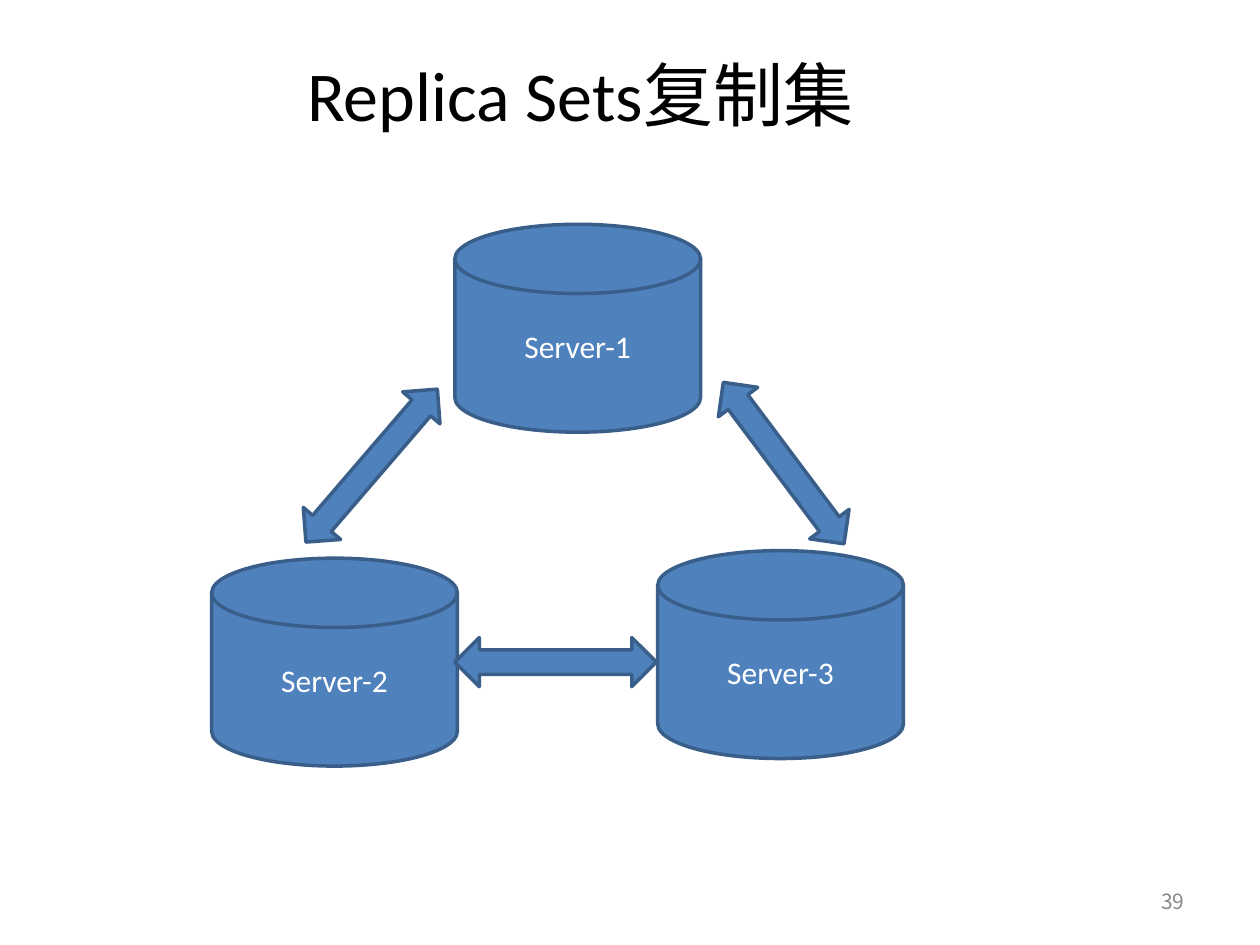
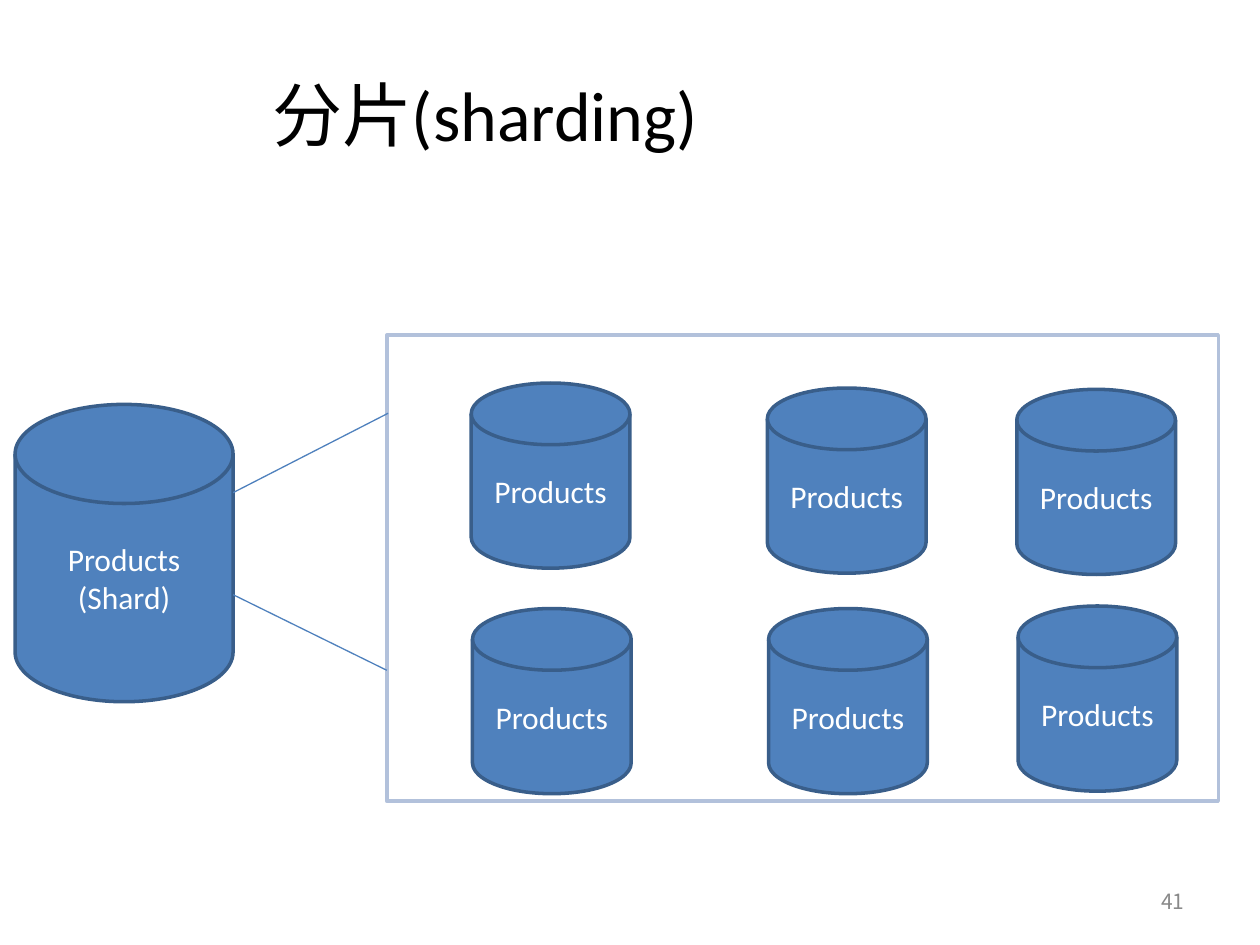
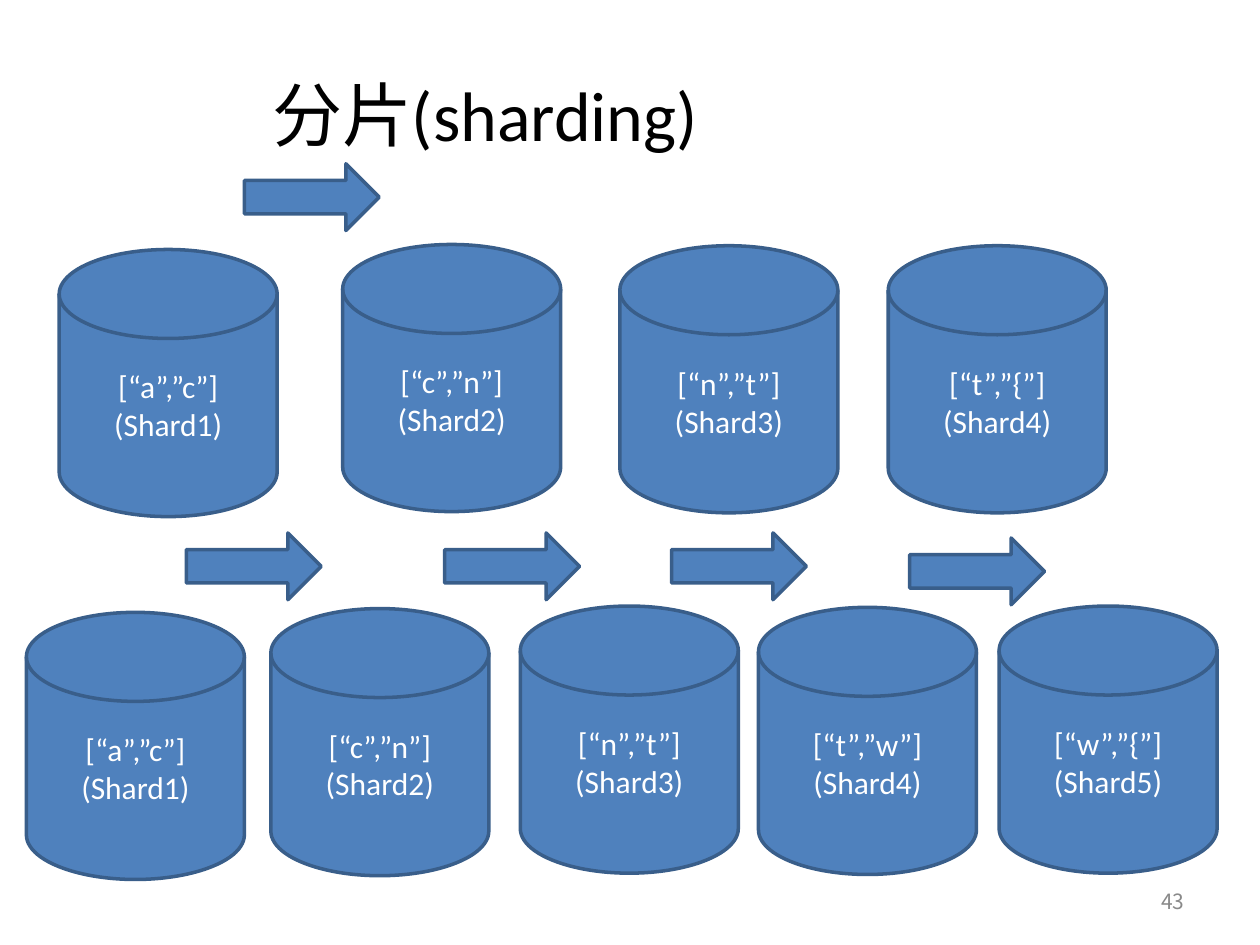
from dataclasses import dataclass
from itertools import pairwise

from lxml.etree import SubElement
from pptx import Presentation
from pptx.dml.color import RGBColor
from pptx.enum.shapes import MSO_CONNECTOR as Connector, MSO_SHAPE as Preset
from pptx.enum.text import MSO_ANCHOR as Anchor, MSO_AUTO_SIZE as AutoSize, PP_ALIGN as Align
from pptx.oxml.ns import qn
from pptx.util import Inches, Pt

# Shared look
BLUE, DARK_BLUE, PALE_BLUE = "4F81BD", "395E8A", "B2C1DB"
WHITE, BLACK, GRAY = "FFFFFF", "000000", "898989"
LATIN, CJK = "Calibri", "Noto Sans CJK SC"
FRAME_FORMAT = {
    "margin_left": Inches(0.1), "margin_right": Inches(0.1),
    "margin_top": Inches(0.05), "margin_bottom": Inches(0.05),
    "auto_size": AutoSize.NONE, "word_wrap": True,
}


@dataclass(frozen=True)
class Box:
    left: float
    top: float
    width: float
    height: float

    def lengths(self) -> list:
        return [Inches(v) for v in (self.left, self.top, self.width, self.height)]


@dataclass(frozen=True)
class Heading:
    text: str
    box: Box
    align: Align


@dataclass(frozen=True)
class Cylinder:
    box: Box
    label: str


@dataclass(frozen=True)
class Arrow:
    box: Box
    preset: Preset = Preset.RIGHT_ARROW
    rotation: float = 0


NUMBER_BOX = Box(7.17, 6.95, 2.33, 0.4)
REPLICA_HEADING = Heading("Replica Sets复制集", Box(1.85, 0.36, 5.51, 0.72), Align.CENTER)
SHARDING_HEADING = Heading("分片(sharding)", Box(2.06, 0.52, 5.72, 0.77), Align.LEFT)


def rgb(color: str) -> RGBColor:
    return RGBColor.from_string(color)


def write(shape, text: str, size: float, color: str, align: Align,
          anchor: Anchor = Anchor.MIDDLE, font: str = LATIN) -> None:
    frame = shape.text_frame
    frame.text = text
    for name, value in {**FRAME_FORMAT, "vertical_anchor": anchor}.items():
        setattr(frame, name, value)
    for paragraph in frame.paragraphs:
        paragraph.alignment = align
        for run in paragraph.runs:
            for name, value in {"size": Pt(size), "name": font}.items():
                setattr(run.font, name, value)
            run.font.color.rgb = rgb(color)
            SubElement(run.font._element, qn("a:ea"), typeface=CJK)


def draw_shape(slide, preset: Preset, box: Box, fill: str = BLUE, line: str = DARK_BLUE):
    shape = slide.shapes.add_shape(preset, *box.lengths())
    shape.shadow.inherit = False
    shape.fill.solid()
    shape.fill.fore_color.rgb = rgb(fill)
    shape.line.color.rgb = rgb(line)
    shape.line.width = Pt(2)
    return shape


def draw_cylinder(slide, cylinder: Cylinder) -> None:
    shape = draw_shape(slide, Preset.FLOWCHART_MAGNETIC_DISK, cylinder.box)
    write(shape, cylinder.label, 18, WHITE, Align.CENTER)


def draw_arrow(slide, arrow: Arrow) -> None:
    draw_shape(slide, arrow.preset, arrow.box).rotation = arrow.rotation


def draw_line(slide, start: tuple[float, float], end: tuple[float, float]) -> None:
    connector = slide.shapes.add_connector(
        Connector.STRAIGHT, *[Inches(v) for v in (*start, *end)])
    connector.line.color.rgb = rgb(BLUE)
    connector.line.width = Pt(0.75)
    SubElement(connector._element.spPr, qn("a:effectLst"))


def start_slide(deck, heading: Heading, number: int):
    slide = deck.slides.add_slide(deck.slide_layouts[5])
    title = slide.shapes.title
    title.left, title.top, title.width, title.height = heading.box.lengths()
    write(title, heading.text, 40, BLACK, heading.align, Anchor.TOP)
    page = slide.shapes.add_textbox(*NUMBER_BOX.lengths())
    write(page, str(number), 12, GRAY, Align.RIGHT, font=CJK)
    return slide


def shard_row(bounds: str, corners: list[tuple[float, float]]) -> list[Cylinder]:
    """One shard for each pair of neighbouring key bounds."""
    return [
        Cylinder(Box(left, top, 1.73, 2.12), f"[“{low}”,”{high}”]\n(Shard{index})")
        for index, ((low, high), (left, top)) in enumerate(zip(pairwise(bounds), corners), 1)
    ]


def build_replica_sets(deck) -> None:
    slide = start_slide(deck, REPLICA_HEADING, 39)
    servers = [(3.61, 1.78), (1.68, 4.43), (5.22, 4.37)]
    for index, (left, top) in enumerate(servers, 1):
        draw_cylinder(slide, Cylinder(Box(left, top, 1.95, 1.65), f"Server-{index}"))
    # Replication between each two servers
    for left, top, rotation in [(3.61, 5.06, 0), (2.15, 3.5, 310.7), (5.42, 3.48, 233.2)]:
        draw_arrow(slide, Arrow(Box(left, top, 1.6, 0.39), Preset.LEFT_RIGHT_ARROW, rotation))


def build_collection_split(deck) -> None:
    slide = start_slide(deck, SHARDING_HEADING, 41)
    draw_cylinder(slide, Cylinder(Box(0.12, 3.21, 1.73, 2.36), "Products\n(Shard)"))
    # Enlarged view of the collection
    draw_shape(slide, Preset.RECTANGLE, Box(3.07, 2.66, 6.6, 3.7), WHITE, PALE_BLUE)
    draw_line(slide, (1.85, 3.91), (3.08, 3.28))
    draw_line(slide, (1.85, 4.72), (3.07, 5.32))
    pieces = [(3.74, 3.04), (6.09, 3.08), (8.07, 3.09),
              (3.75, 4.83), (6.1, 4.83), (8.08, 4.81)]
    for left, top in pieces:
        draw_cylinder(slide, Cylinder(Box(left, top, 1.26, 1.47), "Products"))


def build_shard_ranges(deck) -> None:
    slide = start_slide(deck, SHARDING_HEADING, 43)
    four_shards = shard_row("acnt{", [(0.47, 1.98), (2.72, 1.94), (4.92, 1.95), (7.05, 1.95)])
    five_shards = shard_row("acntw{", [(0.21, 4.86), (2.15, 4.83), (4.13, 4.81),
                                       (6.02, 4.82), (7.93, 4.81)])
    for shard in four_shards + five_shards:
        draw_cylinder(slide, shard)
    # Data moving to the next shard
    moves = [(1.94, 1.3), (1.48, 4.23), (3.53, 4.23), (5.33, 4.23), (7.22, 4.27)]
    for left, top in moves:
        draw_arrow(slide, Arrow(Box(left, top, 1.07, 0.53)))


def main() -> None:
    deck = Presentation()
    deck.slide_width, deck.slide_height = Inches(10), Inches(7.5)
    for build in (build_replica_sets, build_collection_split, build_shard_ranges):
        build(deck)
    deck.save("out.pptx")


if __name__ == "__main__":
    main()
